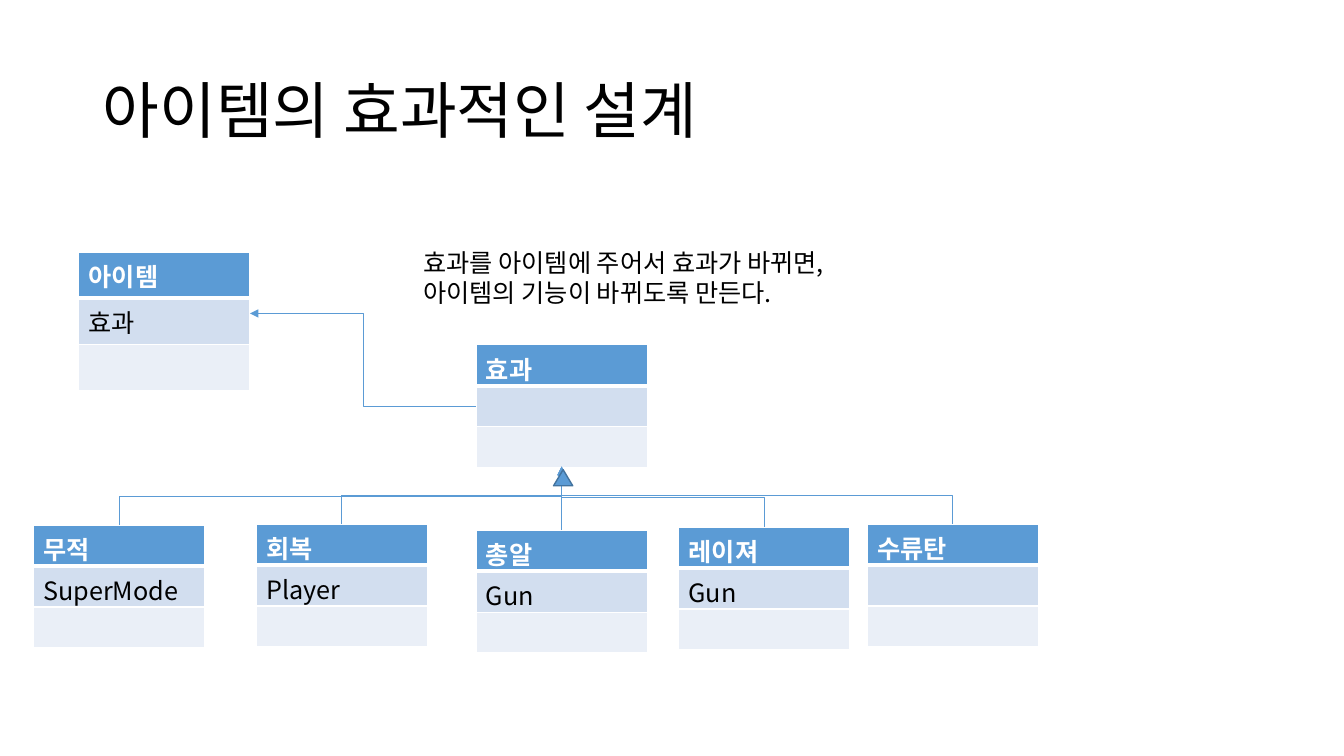
from dataclasses import dataclass
from lxml.etree import SubElement
from pptx import Presentation
from pptx.dml.color import RGBColor
from pptx.enum.shapes import MSO_CONNECTOR, MSO_SHAPE
from pptx.enum.text import MSO_ANCHOR, MSO_AUTO_SIZE, PP_ALIGN
from pptx.oxml.ns import qn
from pptx.util import Emu, Pt

PX = 9144


@dataclass(frozen=True)
class Theme:
    """Colours, font and type sizes of the slide."""
    font: str = "Noto Sans CJK KR"
    ink: str = "000000"
    paper: str = "FFFFFF"
    accent: str = "5B9BD5"
    edge: str = "43739E"
    bands: tuple = ("5B9BD5", "D2DEEF", "EAEFF7")
    title: int = 44
    body: int = 18


THEME = Theme()


def px(n):
    """Turn px into EMU."""
    return Emu(round(n * PX))


def rgb(code):
    """Turn a hex code into a colour."""
    return RGBColor.from_string(code)


def write(tf, text, size=THEME.body, color=THEME.ink, bold=False, spacing=None):
    """Fill a text frame with one formatted, left-aligned paragraph."""
    p = tf.paragraphs[0]
    p.text = text
    p.alignment = PP_ALIGN.LEFT
    if spacing:
        p.line_spacing = spacing
    for r in p.runs:
        r.font.size, r.font.bold = Pt(size), bold
        r.font.color.rgb = rgb(color)
        r.font.name = THEME.font
        SubElement(r.font._element, qn("a:ea"), typeface=THEME.font)


def add_title(s, box, text):
    """Place and fill the title placeholder."""
    sp = s.shapes.title
    sp.left, sp.top, sp.width, sp.height = map(px, box)
    tf = sp.text_frame
    tf.auto_size = MSO_AUTO_SIZE.NONE
    tf.vertical_anchor = MSO_ANCHOR.MIDDLE
    write(tf, text, size=THEME.title, spacing=0.9)


def add_note(s, box, text):
    """Add the explanatory text."""
    tf = s.shapes.add_textbox(*map(px, box)).text_frame
    tf.word_wrap = True
    write(tf, text)


def set_borders(cell, **widths):
    """Draw white cell borders, with widths in points by side."""
    tcPr = cell._tc.get_or_add_tcPr()
    for side in "LRTB":
        ln = SubElement(tcPr, qn(f"a:ln{side}"), w=str(Pt(widths.get(side, 1))))
        fill = SubElement(ln, qn("a:solidFill"))
        SubElement(fill, qn("a:srgbClr"), val=THEME.paper)


def add_class(s, box, name, member=""):
    """Add a class box with a header, a member row and an empty row."""
    frame = s.shapes.add_table(3, 1, *map(px, box))
    sides = ({"B": 3}, {"T": 3}, {})
    for i, text in enumerate((name, member, "")):
        cell = frame.table.cell(i, 0)
        cell.margin_top, cell.margin_bottom = px(5), 0
        set_borders(cell, **sides[i])
        cell.fill.solid()
        cell.fill.fore_color.rgb = rgb(THEME.bands[i])
        write(cell.text_frame, text, bold=i == 0,
              color=THEME.ink if i else THEME.paper)
    return frame


def add_arrow(s, kind, start, end):
    """Add a thin arrow from start to end."""
    cxn = s.shapes.add_connector(kind, *map(px, (*start, *end)))
    cxn.line.width = Pt(0.5)
    cxn.line.color.rgb = rgb(THEME.accent)
    SubElement(cxn.line._get_or_add_ln(), qn("a:tailEnd"), type="triangle")
    SubElement(cxn._element.spPr, qn("a:effectLst"))
    return cxn


def add_rising_arrow(s, start, end):
    """Add an elbow arrow that leaves its start upwards."""
    (x1, y1), (x2, y2) = start, end
    cx, cy = (x1 + x2) / 2, (y1 + y2) / 2
    run, rise = (x2 - x1) / 2, (y1 - y2) / 2
    cxn = add_arrow(s, MSO_CONNECTOR.ELBOW, (cx - rise, cy - run), (cx + rise, cy + run))
    cxn._element.spPr.xfrm.set("rot", str(270 * 60000))


def add_hierarchy(s, box, children):
    """Add the parent class and its children with inheritance arrows."""
    x, y, w, h = box
    tip = (x + w // 2, y + h - 1)
    parent = add_class(s, box, "효과")
    for left, top, name, member in children:
        frame = add_class(s, (left, top, w, h), name, member)
        start = (left + w // 2, top)
        if left == x:
            cxn = add_arrow(s, MSO_CONNECTOR.STRAIGHT, start, tip)
            cxn.begin_connect(frame, 0)
            cxn.end_connect(parent, 2)
        else:
            add_rising_arrow(s, start, tip)
    sp = s.shapes.add_shape(MSO_SHAPE.ISOSCELES_TRIANGLE,
                            *map(px, (tip[0] - 8, tip[1] + 3, 19, 16)))
    sp.shadow.inherit = False
    sp.fill.solid()
    sp.fill.fore_color.rgb = rgb(THEME.accent)
    sp.line.color.rgb = rgb(THEME.edge)
    sp.line.width = Pt(1)


def main():
    """Build and save the slide."""
    prs = Presentation()
    prs.slide_width, prs.slide_height = px(1333), px(750)
    s = prs.slides.add_slide(prs.slide_layouts[5])
    add_title(s, (92, 40, 1150, 145), "아이템의 효과적인 설계")
    add_class(s, (78, 250, 170, 138), "아이템", "효과")
    add_note(s, (410, 240, 665, 71), "효과를 아이템에 주어서 효과가 바뀌면,\v아이템의 기능이 바뀌도록 만든다.")
    children = (
        (33, 521, "무적", "SuperMode"),
        (254, 520, "회복", "Player"),
        (472, 526, "총알", "Gun"),
        (673, 523, "레이져", "Gun"),
        (860, 520, "수류탄", ""),
    )
    add_hierarchy(s, (472, 342, 170, 122), children)
    add_arrow(s, MSO_CONNECTOR.ELBOW, (472, 403), (248, 311))
    prs.save("out.pptx")


if __name__ == "__main__":
    main()
